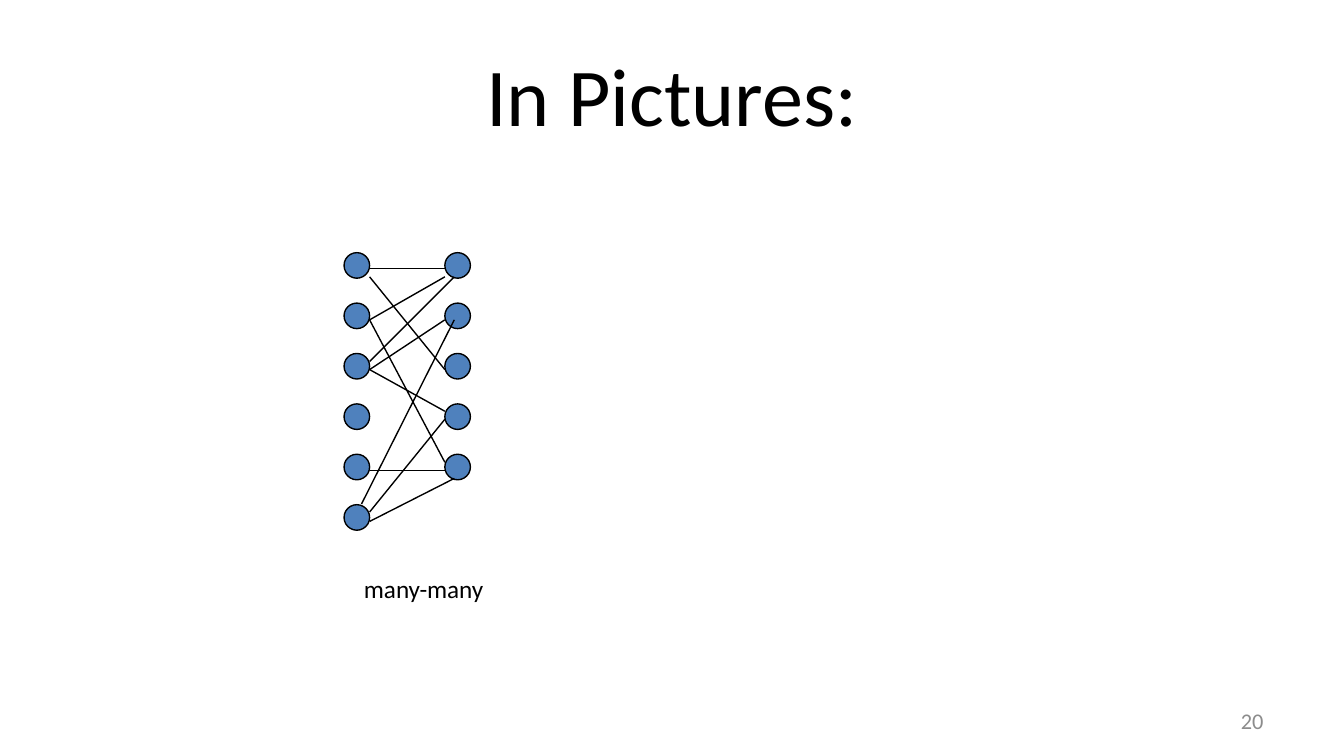
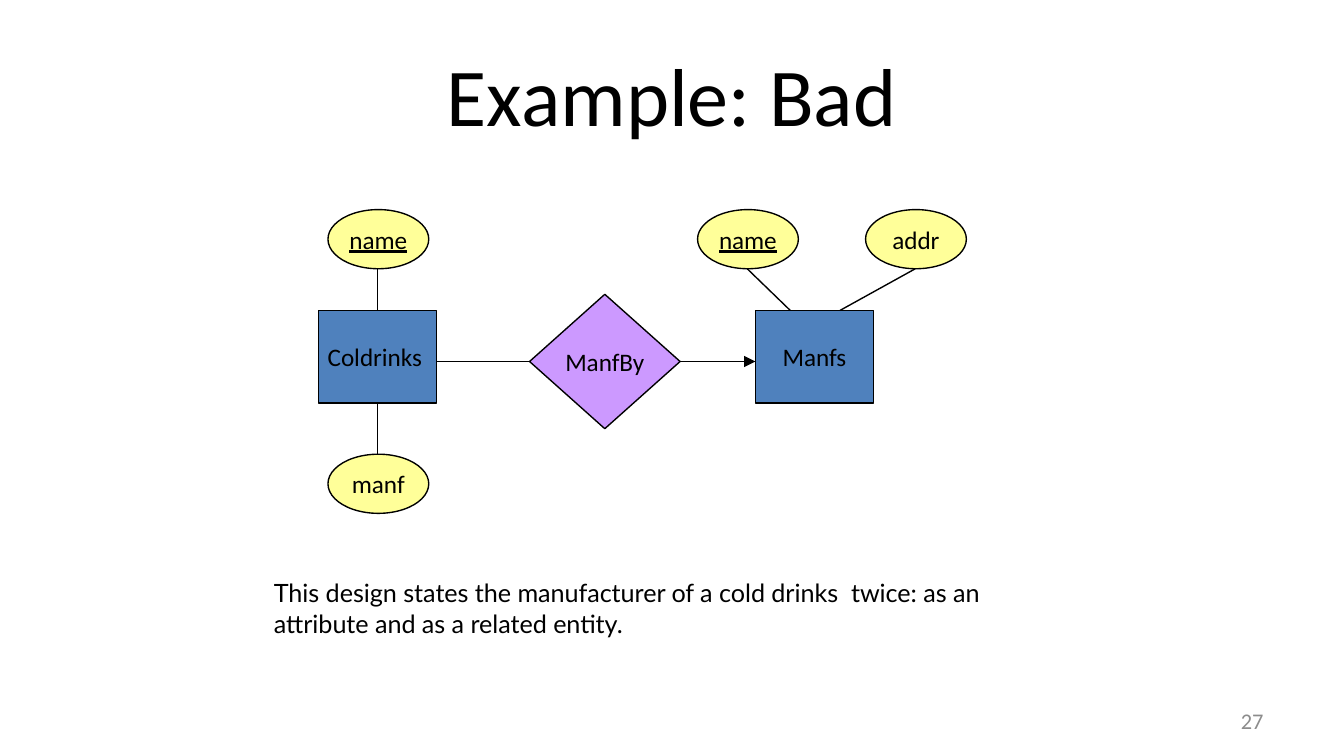
import pptx
import pptx.util
import pptx.dml.color
import pptx.enum.shapes
import pptx.enum.text
import pptx.oxml
import pptx.oxml.ns
import lxml.etree
from dataclasses import dataclass

Inches = pptx.util.Inches
Pt = pptx.util.Pt
RGB = pptx.dml.color.RGBColor.from_string
SHAPE = pptx.enum.shapes.MSO_SHAPE
ALIGN = pptx.enum.text.PP_ALIGN
ANCHOR = pptx.enum.text.MSO_ANCHOR
AUTOSIZE = pptx.enum.text.MSO_AUTO_SIZE
qn = pptx.oxml.ns.qn


@dataclass(frozen=True)
class Theme:
    ink: str = "000000"
    muted: str = "8C8C8C"
    entity: str = "4F81BD"
    relationship: str = "CC99FF"
    attribute: str = "FFFF99"
    font: str = "Calibri"
    note_font: str = "Lato"
    title_size: float = 44
    label_size: float = 13.5
    number_size: float = 12
    line_width: float = 0.75


theme = Theme()


def write(frame, text, size=theme.label_size, color=theme.ink, font=theme.font,
          align=ALIGN.LEFT, anchor=ANCHOR.TOP, wrap=True, underline=None):
    frame.word_wrap = wrap
    frame.vertical_anchor = anchor
    paragraph = frame.paragraphs[0]
    paragraph.alignment = align
    run = paragraph.add_run()
    run.text = text
    run.font.size = Pt(size)
    run.font.name = font
    run.font.color.rgb = RGB(color)
    run.font.underline = underline


def draw_line(slide, x1, y1, x2, y2):
    line = slide.shapes.add_connector(
        pptx.enum.shapes.MSO_CONNECTOR.STRAIGHT,
        Inches(x1), Inches(y1), Inches(x2), Inches(y2))
    line.line.color.rgb = RGB(theme.ink)
    line.line.width = Pt(theme.line_width)
    lxml.etree.SubElement(line._element.spPr, qn("a:effectLst"))
    return line


# Widescreen deck, 16:9
deck = pptx.Presentation()
deck.slide_width = Inches(10)
deck.slide_height = Inches(10 * 9 / 16)

# Titles and slide numbers
slides = []
for heading, number in [("In Pictures:", "20"), ("Example: Bad", "27")]:
    slide = deck.slides.add_slide(deck.slide_layouts[5])
    title = slide.shapes.title
    title.left, title.top = Inches(0.5), Inches(0.23)
    title.width, title.height = Inches(9), Inches(0.94)
    write(title.text_frame, heading, theme.title_size,
          align=ALIGN.CENTER, anchor=ANCHOR.MIDDLE)
    page = slide.shapes.add_textbox(Inches(7.17), Inches(5.21), Inches(2.33), Inches(0.3))
    write(page.text_frame, number, theme.number_size, theme.muted,
          align=ALIGN.RIGHT, anchor=ANCHOR.MIDDLE)
    slides.append(slide)
pictures, example = slides

# Many-many: two columns of members
for left, count in [(2.56, 6), (3.31, 5)]:
    for row in range(count):
        member = pictures.shapes.add_shape(
            SHAPE.OVAL, Inches(left), Inches(1.88 + row * 0.75 / 2),
            Inches(0.19), Inches(0.19))
        member.shadow.inherit = False
        member.fill.solid()
        member.fill.fore_color.rgb = RGB(theme.entity)
        member.line.color.rgb = RGB(theme.ink)
        member.line.width = Pt(theme.line_width)

# Many-many: links between the members
for link in [
    (2.75, 2.06, 3.31, 2.75),
    (2.75, 2, 3.31, 2),
    (2.75, 2.38, 3.31, 2.06),
    (2.75, 2.69, 3.38, 2.06),
    (2.75, 2.38, 3.31, 3.44),
    (2.75, 3.5, 3.31, 3.5),
    (2.75, 3.88, 3.38, 3.56),
    (2.75, 2.75, 3.31, 2.38),
    (2.69, 3.75, 3.38, 2.38),
    (2.75, 3.81, 3.31, 3.12),
    (3.31, 3.06, 2.75, 2.75),
]:
    draw_line(pictures, *link)

caption = pictures.shapes.add_textbox(Inches(2.61), Inches(4.22), Inches(1.11), Inches(0.33))
write(caption.text_frame, "many-many", wrap=False)
caption.text_frame.auto_size = AUTOSIZE.SHAPE_TO_FIT_TEXT

# Entity-relationship diagram: entities, relationship, attributes
entity = (SHAPE.RECTANGLE, 0.88, 0.69, theme.entity)
relationship = (SHAPE.DIAMOND, 1.12, 1, theme.relationship)
attribute = (SHAPE.OVAL, 0.75, 0.44, theme.attribute)
nodes = []
for (outline, width, height, fill), left, top, label, is_key in [
    (entity, 2.37, 2.31, "Coldrinks ", None),
    (entity, 5.62, 2.31, "Manfs", None),
    (relationship, 3.94, 2.19, "ManfBy", None),
    (attribute, 2.44, 1.56, "name", True),
    (attribute, 5.19, 1.56, "name", True),
    (attribute, 2.44, 3.38, "manf", None),
    (attribute, 6.44, 1.56, "addr", None),
]:
    node = example.shapes.add_shape(
        outline, Inches(left), Inches(top), Inches(width), Inches(height))
    node.shadow.inherit = False
    node.fill.solid()
    node.fill.fore_color.rgb = RGB(fill)
    node.line.color.rgb = RGB(theme.ink)
    node.line.width = Pt(theme.line_width)
    write(node.text_frame, label, align=ALIGN.CENTER, anchor=ANCHOR.MIDDLE,
          wrap=False, underline=is_key)
    nodes.append(node)
coldrinks, manfs, manf_by = nodes[:3]

# Links from attributes to entities
draw_line(example, 2.81, 2, 2.81, 2.31).end_connect(coldrinks, 0)
draw_line(example, 2.81, 3.38, 2.81, 3).end_connect(coldrinks, 2)
draw_line(example, 5.56, 2, 5.88, 2.31)
draw_line(example, 6.81, 2, 6.25, 2.31)

# Links through the relationship, with an arrow to its single manufacturer
draw_line(example, 3.94, 2.69, 3.25, 2.69).begin_connect(manf_by, 1)
draw_line(example, 5.06, 2.69, 5.12, 2.69).begin_connect(manf_by, 3)
to_manfs = draw_line(example, 5.12, 2.69, 5.62, 2.69)
lxml.etree.SubElement(to_manfs.line._get_or_add_ln(), qn("a:tailEnd"), type="triangle")

# Remark below the diagram
remark = example.shapes.add_textbox(Inches(1.94), Inches(4.25), Inches(5.64), Inches(0.56))
write(remark.text_frame,
      "This design states the manufacturer of a cold drinks  twice: "
      "as an attribute and as a related entity.", font=theme.note_font)
remark.text_frame.auto_size = AUTOSIZE.SHAPE_TO_FIT_TEXT

deck.save("out.pptx")
